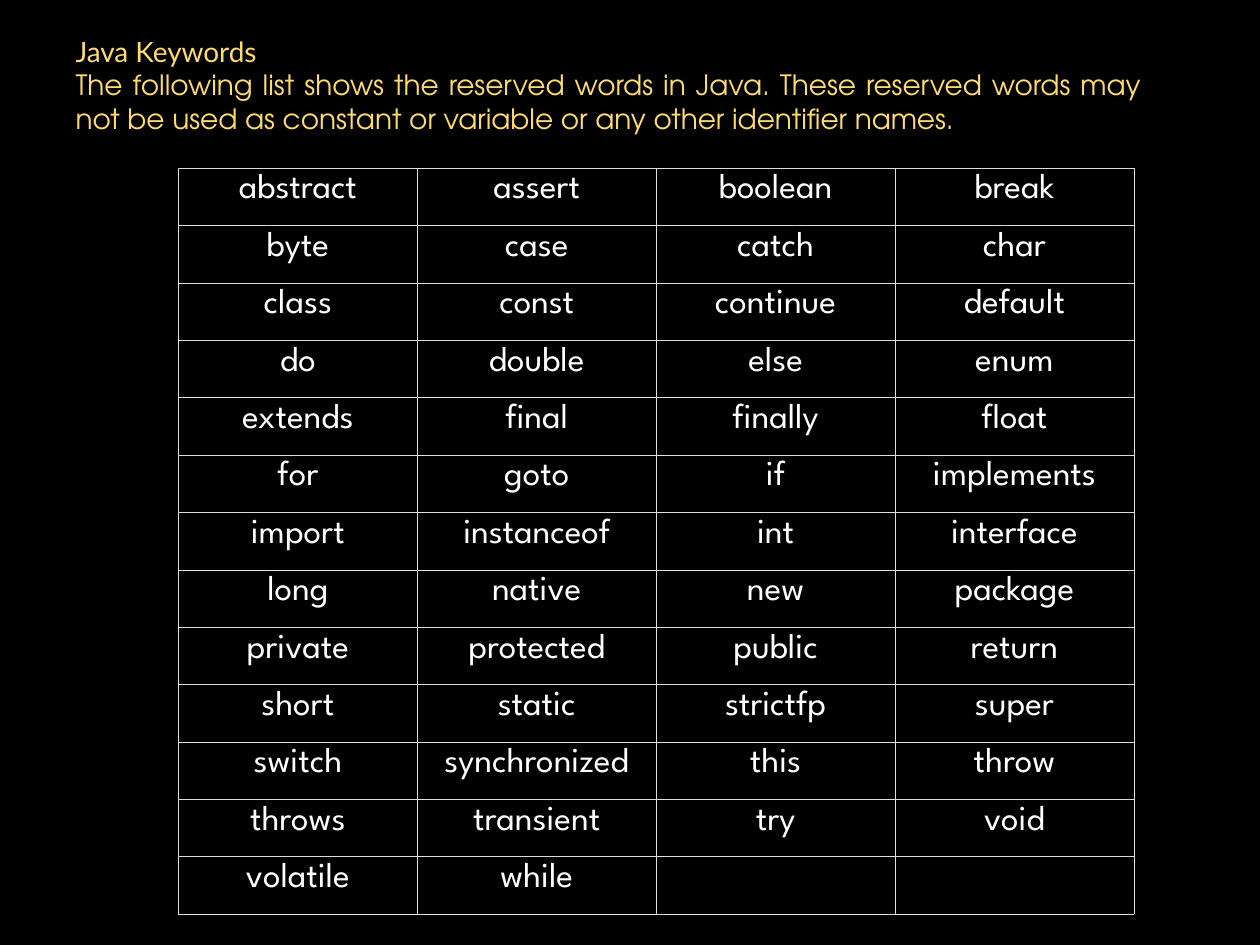
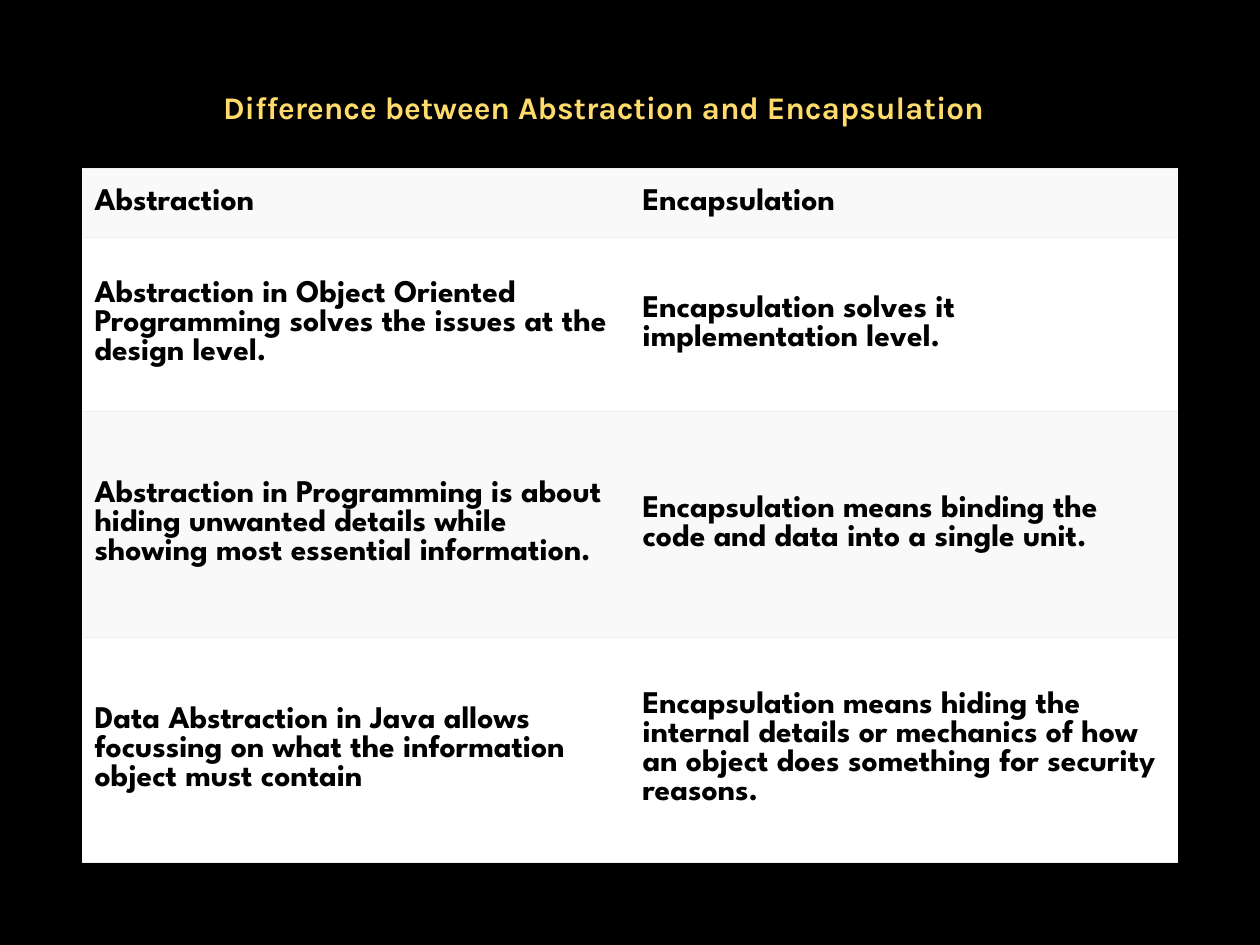
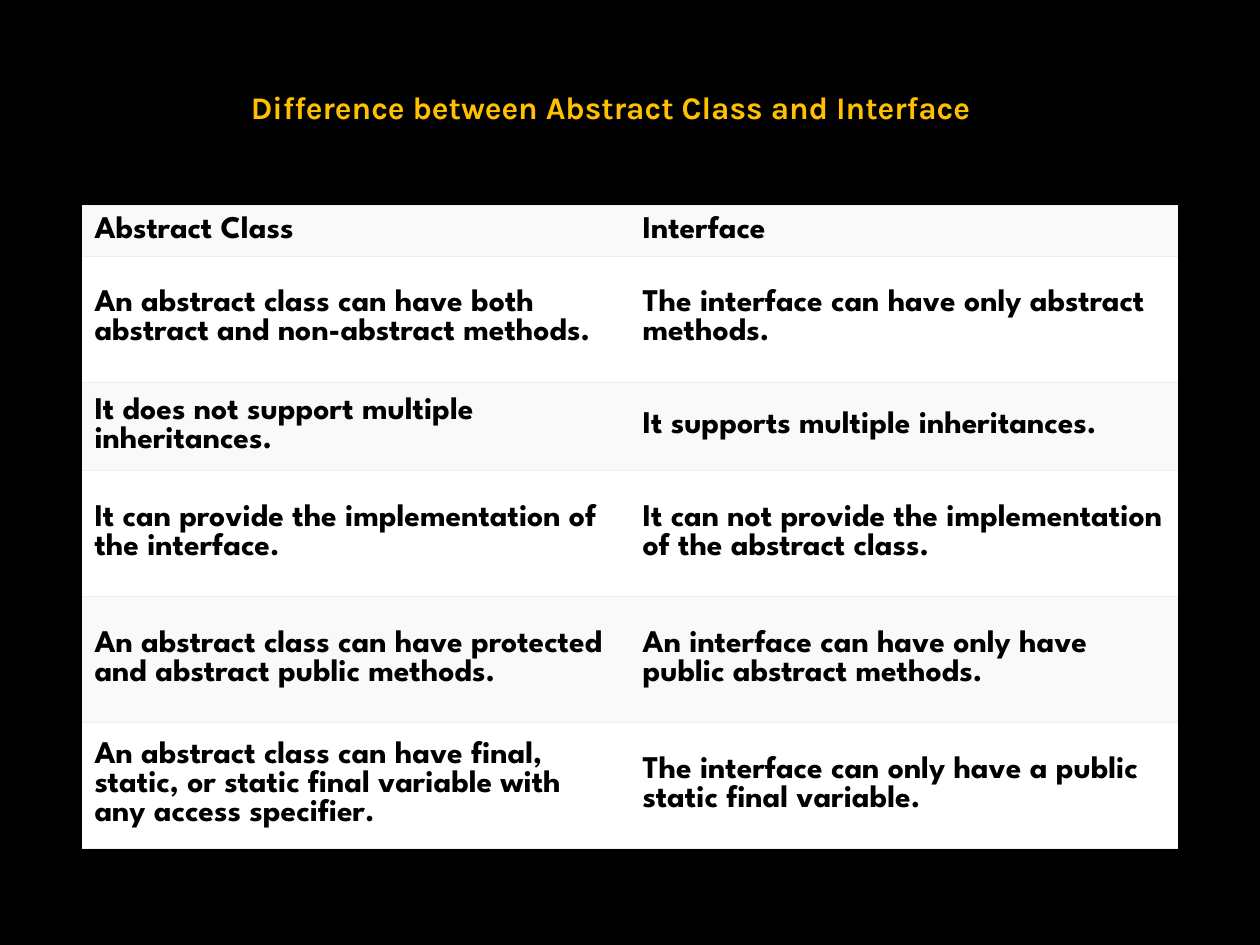
from dataclasses import dataclass
from typing import Any

from lxml.etree import SubElement
from pptx import Presentation
from pptx.dml.color import RGBColor
from pptx.enum.text import MSO_ANCHOR as Anchor, MSO_AUTO_SIZE as AutoSize, PP_ALIGN as Align
from pptx.oxml.ns import qn
from pptx.util import Pt

BLACK, WHITE, STRIPE = "000000", "FFFFFF", "F9F9F9"
YELLOW, AMBER = "FEDB6A", "FFC000"
BODY_FONT, TITLE_FONT = "League Spartan", "Karla"
TITLE_ONLY = 5
NO_STYLE = "{2D5ABB26-0587-4C30-8999-92F81FD0307C}"
RULE_WIDTH = 0.34


@dataclass(frozen=True)
class Area:
    left: float
    top: float
    width: float
    height: float


@dataclass(frozen=True)
class Style:
    font: str
    size: float
    colour: str
    bold: bool = False
    align: Align = Align.LEFT


@dataclass(frozen=True)
class Title:
    area: Area
    lines: list[tuple[str, Style]]


@dataclass(frozen=True)
class GridLook:
    text: Style
    rule: str
    sides: str
    fills: tuple[str, ...]
    anchor: Anchor
    side_margin: float


@dataclass(frozen=True)
class Grid:
    left: float
    top: float
    column_width: float
    row_heights: list[float]
    rows: list[list[str]]
    look: GridLook


KEYWORD_LOOK = GridLook(
    Style(BODY_FONT, 20, WHITE, align=Align.CENTER), "DDDDDD", "LRTB", (), Anchor.TOP, 4.5
)
COMPARISON_LOOK = GridLook(
    Style(BODY_FONT, 18, BLACK, bold=True), "EEEEEE", "TB", (STRIPE, WHITE), Anchor.MIDDLE, 7.2
)

KEYWORDS = """
abstract assert boolean break byte case catch char class const continue default
do double else enum extends final finally float for goto if implements
import instanceof int interface long native new package private protected public return
short static strictfp super switch synchronized this throw throws transient try void
volatile while
""".split()
KEYWORD_ROWS = [KEYWORDS[start:start + 4] for start in range(0, len(KEYWORDS), 4)]

ABSTRACTION_ROWS = [
    ["Abstraction", "Encapsulation"],
    ["Abstraction in Object Oriented Programming solves the issues at the design level.",
     "Encapsulation solves it implementation level."],
    ["Abstraction in Programming is about hiding unwanted details while showing most "
     "essential information.",
     "Encapsulation means binding the code and data into a single unit."],
    ["Data Abstraction in Java allows focussing on what the information object must contain",
     "Encapsulation means hiding the internal details or mechanics of how an object does "
     "something for security reasons."],
]

INTERFACE_ROWS = [
    ["Abstract Class", "Interface"],
    ["An abstract class can have both abstract and non-abstract methods.",
     "The interface can have only abstract methods."],
    ["It does not support multiple inheritances.", "It supports multiple inheritances."],
    ["It can provide the implementation of the interface.",
     "It can not provide the implementation of the abstract class."],
    ["An abstract class can have protected and abstract public methods.",
     "An interface can have only have public abstract methods."],
    ["An abstract class can have final, static, or static final variable with any access "
     "specifier.",
     "The interface can only have a public static final variable."],
]


def comparison_title(left: float, width: float, text: str, colour: str) -> Title:
    style = Style(TITLE_FONT, 18, colour, bold=True, align=Align.CENTER)
    return Title(Area(left, 46.8, width, 28.8), [(text, style)])


def comparison_grid(top: float, row_heights: list[float], rows: list[list[str]]) -> Grid:
    return Grid(46.8, top, 313.2, row_heights, rows, COMPARISON_LOOK)


PAGES = [
    (
        Title(Area(36, 15.84, 624, 64.8), [
            ("Java Keywords", Style("Lato", 16, YELLOW)),
            ("The following list shows the reserved words in Java. These reserved words may "
             "not be used as constant or variable or any other identifier names.",
             Style("TeX Gyre Adventor", 16, YELLOW, align=Align.JUSTIFY)),
        ]),
        Grid(102, 96, 136.5, [32.8] * len(KEYWORD_ROWS), KEYWORD_ROWS, KEYWORD_LOOK),
    ),
    (
        comparison_title(54, 582, "Difference between Abstraction and Encapsulation", YELLOW),
        comparison_grid(96, [39.6, 99.4, 129, 129], ABSTRACTION_ROWS),
    ),
    (
        comparison_title(49, 600, "Difference between Abstract Class and Interface", AMBER),
        comparison_grid(117.4, [28.8, 72, 50.4, 72, 72, 72], INTERFACE_ROWS),
    ),
]


def colour_of(value: str) -> RGBColor:
    return RGBColor.from_string(value)


def set_all(target: Any, values: dict[str, Any]) -> None:
    for name, value in values.items():
        setattr(target, name, value)


def paint(target: Any, colour: str) -> None:
    target.fill.solid()
    target.fill.fore_color.rgb = colour_of(colour)


def write(para: Any, text: str, style: Style) -> None:
    para.alignment = style.align
    span = para.add_run()
    span.text = text
    set_all(span.font, {"name": style.font, "size": Pt(style.size), "bold": style.bold})
    span.font.color.rgb = colour_of(style.colour)


def draw_title(page: Any, title: Title) -> None:
    box = page.shapes.title
    area = title.area
    set_all(box, {"left": Pt(area.left), "top": Pt(area.top),
                  "width": Pt(area.width), "height": Pt(area.height)})
    frame = box.text_frame
    set_all(frame, {"word_wrap": True, "vertical_anchor": Anchor.TOP,
                    "auto_size": AutoSize.SHAPE_TO_FIT_TEXT})
    for index, (text, style) in enumerate(title.lines):
        write(frame.add_paragraph() if index else frame.paragraphs[0], text, style)


def rule_cell(cell: Any, look: GridLook) -> None:
    properties = cell._tc.get_or_add_tcPr()
    for side in "LRTB":
        line = SubElement(properties, qn(f"a:ln{side}"), w=str(Pt(RULE_WIDTH)))
        if side in look.sides:
            fill = SubElement(line, qn("a:solidFill"))
            SubElement(fill, qn("a:srgbClr"), val=look.rule)
        else:
            SubElement(line, qn("a:noFill"))


def draw_grid(page: Any, grid: Grid) -> None:
    look = grid.look
    column_count = len(grid.rows[0])
    table = page.shapes.add_table(
        len(grid.rows), column_count, Pt(grid.left), Pt(grid.top),
        Pt(grid.column_width * column_count), Pt(sum(grid.row_heights)),
    ).table
    set_all(table, {"first_row": False, "horz_banding": False})
    table._tbl.tblPr.find(qn("a:tableStyleId")).text = NO_STYLE
    for column in table.columns:
        column.width = Pt(grid.column_width)
    for row_index, row in enumerate(table.rows):
        row.height = Pt(grid.row_heights[row_index])
        for cell in row.cells:
            set_all(cell, {"vertical_anchor": look.anchor,
                           "margin_left": Pt(look.side_margin),
                           "margin_right": Pt(look.side_margin)})
            rule_cell(cell, look)
            if look.fills:
                paint(cell, look.fills[row_index % len(look.fills)])
            else:
                cell.fill.background()
        for cell, text in zip(row.cells, grid.rows[row_index]):
            write(cell.text_frame.paragraphs[0], text, look.text)


def main() -> None:
    deck = Presentation()
    set_all(deck, {"slide_width": Pt(720), "slide_height": Pt(540)})
    paint(deck.slide_master.background, BLACK)
    for title, grid in PAGES:
        page = deck.slides.add_slide(deck.slide_layouts[TITLE_ONLY])
        draw_title(page, title)
        draw_grid(page, grid)
    deck.save("out.pptx")


if __name__ == "__main__":
    main()
